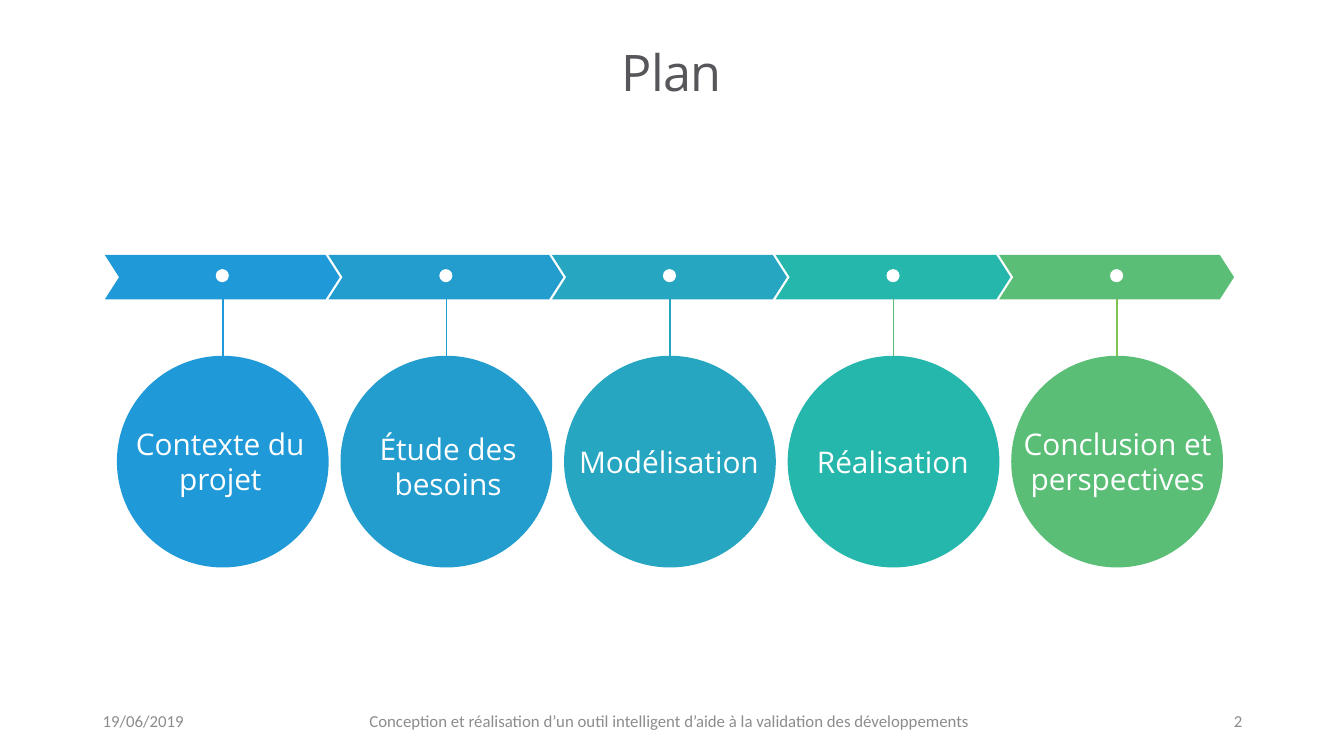
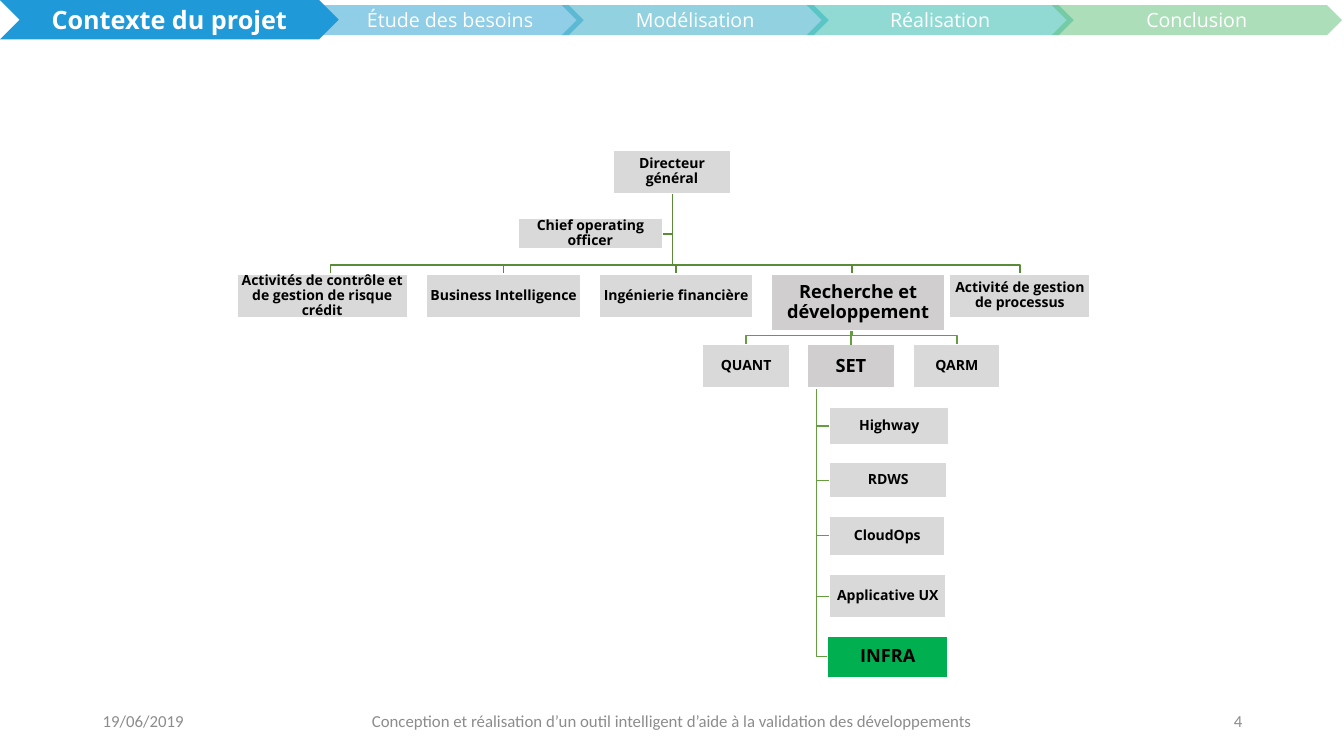
from dataclasses import dataclass
from typing import Optional

from lxml import etree
from pptx import Presentation
from pptx.dml.color import RGBColor
from pptx.enum.shapes import MSO_CONNECTOR, MSO_SHAPE
from pptx.enum.text import MSO_ANCHOR, PP_ALIGN
from pptx.oxml.ns import qn
from pptx.util import Inches, Pt

RECTANGLE, ELLIPSE, CHEVRON = MSO_SHAPE.RECTANGLE, MSO_SHAPE.OVAL, MSO_SHAPE.CHEVRON
STRAIGHT = MSO_CONNECTOR.STRAIGHT
TOP_ANCHOR, MIDDLE = MSO_ANCHOR.TOP, MSO_ANCHOR.MIDDLE
LEFT, CENTER, RIGHT = PP_ALIGN.LEFT, PP_ALIGN.CENTER, PP_ALIGN.RIGHT
TOP_SITE = 0

HEADING_FONT, FOOTER_FONT = "Open Sans", "Calibri"
WHITE, BLACK, TITLE_GREY, FOOTER_GREY = "FFFFFF", "000000", "57565A", "8C8C8C"
BOX_GREY, BOX_DARK, BOX_GREEN = "D9D9D9", "D0CECE", "00B050"
TRUNK_GREEN, BRANCH_GREEN = "5A8B39", "669D40"

DATE = "19/06/2019"
TALK = "Conception et réalisation d’un outil intelligent d’aide à la validation des développements"


@dataclass(frozen=True)
class TextStyle:
    size: float
    color: str = WHITE
    font: str = HEADING_FONT
    bold: bool = False
    align: PP_ALIGN = CENTER
    anchor: MSO_ANCHOR = MIDDLE
    line_spacing: Optional[float] = None
    inset: Optional[float] = None
    tracking: Optional[int] = None


@dataclass(frozen=True)
class Chapter:
    label: str
    color: str
    stem_color: str
    label_left: float
    label_top: float
    label_height: float
    nav_label: str


@dataclass(frozen=True)
class OrgUnit:
    name: str
    left: float
    top: float
    width: float
    height: float = 0.43
    fill: str = BOX_GREY
    size: float = 10
    drop_x: Optional[float] = None

    @property
    def center_x(self) -> float:
        return self.left + self.width / 2

    @property
    def center_y(self) -> float:
        return self.top + self.height / 2

    @property
    def bottom(self) -> float:
        return self.top + self.height


CHAPTERS = [
    Chapter("Contexte du projet", "2099D8", "2099D8", 1.10, 4.17, 0.82, "Contexte du projet"),
    Chapter("Étude des besoins", "239CCE", "239CCE", 3.36, 4.22, 0.82, "Étude des besoins"),
    Chapter("Modélisation", "27A6C2", "27A6C2", 5.55, 4.35, 0.46, "Modélisation"),
    Chapter("Réalisation", "25B7AB", "5BBE77", 7.77, 4.35, 0.46, "Réalisation"),
    Chapter("Conclusion et perspectives", "5BBE77", "7EC44E", 10, 4.17, 0.82, "Conclusion"),
]

DIRECTOR = OrgUnit("Directeur général", 6.08, 1.49, 1.17)
OFFICER = OrgUnit("Chief operating officer", 5.14, 2.17, 1.43, 0.3)
RESEARCH = OrgUnit("Recherche et développement", 7.65, 2.72, 1.72, 0.56, BOX_DARK, 13, 8.45)
DIVISIONS = [
    OrgUnit("Activités de contrôle et de gestion de risque crédit", 2.35, 2.72, 1.69, drop_x=3.28),
    OrgUnit("Business Intelligence", 4.23, 2.72, 1.53),
    OrgUnit("Ingénierie financière", 5.94, 2.72, 1.53),
    RESEARCH,
    OrgUnit("Activité de gestion de processus", 9.42, 2.72, 1.39),
]
QUANT_TEAM = OrgUnit("QUANT", 6.97, 3.42, 0.86)
SET_TEAM = OrgUnit("SET", 8.01, 3.42, 0.86, fill=BOX_DARK, size=13)
QARM_TEAM = OrgUnit("QARM", 9.06, 3.42, 0.86)
SQUADS = [
    OrgUnit("Highway", 8.23, 4.04, 1.18, 0.37),
    OrgUnit("RDWS", 8.23, 4.59, 1.16, 0.35),
    OrgUnit("CloudOps", 8.23, 5.12, 1.14, 0.39),
    OrgUnit("Applicative UX", 8.23, 5.7, 1.15),
    OrgUnit("INFRA", 8.21, 6.31, 1.19, 0.41, BOX_GREEN, 13),
]


def rgb(color: str) -> RGBColor:
    return RGBColor.from_string(color)


def apply(target, values: dict) -> None:
    for name, value in values.items():
        setattr(target, name, value)


def write(shape, text: str, style: TextStyle) -> None:
    frame = shape.text_frame
    apply(frame, {"word_wrap": True, "vertical_anchor": style.anchor})
    if style.inset is not None:
        sides = ("margin_left", "margin_top", "margin_right", "margin_bottom")
        apply(frame, dict.fromkeys(sides, Inches(style.inset)))
    paragraph = frame.paragraphs[0]
    apply(paragraph, {"alignment": style.align, "line_spacing": style.line_spacing})
    run = paragraph.add_run()
    run.text = text
    apply(run.font, {"name": style.font, "size": Pt(style.size), "bold": style.bold})
    run.font.color.rgb = rgb(style.color)
    if style.tracking is not None:
        run.font._element.set("spc", str(style.tracking))


def add_text(slide, left: float, top: float, width: float, height: float,
             text: str, style: TextStyle) -> None:
    box = slide.shapes.add_textbox(Inches(left), Inches(top), Inches(width), Inches(height))
    write(box, text, style)


def set_line(shape, color: str) -> None:
    shape.line.color.rgb = rgb(color)
    shape.line.width = Pt(1)


def add_filled(slide, kind, left: float, top: float, width: float, height: float,
               fill: str, outline: Optional[str] = None, opacity: int = 100):
    shape = slide.shapes.add_shape(kind, Inches(left), Inches(top), Inches(width), Inches(height))
    shape.shadow.inherit = False
    shape.fill.solid()
    shape.fill.fore_color.rgb = rgb(fill)
    if outline:
        set_line(shape, outline)
    else:
        shape.line.fill.background()
    if opacity < 100:
        color = shape._element.spPr.find(qn("a:solidFill"))[0]
        etree.SubElement(color, qn("a:alpha")).set("val", str(opacity * 1000))
    return shape


def add_line(slide, x1: float, y1: float, x2: float, y2: float, color: str):
    line = slide.shapes.add_connector(STRAIGHT, Inches(x1), Inches(y1), Inches(x2), Inches(y2))
    set_line(line, color)
    etree.SubElement(line._element.spPr, qn("a:effectLst"))
    return line


def add_bent_link(slide, points: list[tuple[float, float]], color: str) -> None:
    start, *corners = [(Inches(x), Inches(y)) for x, y in points]
    builder = slide.shapes.build_freeform(*start)
    builder.add_line_segments(corners, close=False)
    link = builder.convert_to_shape()
    link.shadow.inherit = False
    link.fill.background()
    set_line(link, color)


def link_below(slide, x: float, y: float, bus_y: float, unit: OrgUnit, color: str) -> None:
    """Run down to the shared level, across, and down to the top of the unit."""
    drop_x = unit.drop_x or unit.center_x
    add_bent_link(slide, [(x, y), (x, bus_y), (drop_x, bus_y), (drop_x, unit.top)], color)


def link_beside(slide, x: float, y: float, end_x: float, unit: OrgUnit, color: str) -> None:
    """Run down to the middle of the unit, then across to its side."""
    add_bent_link(slide, [(x, y), (x, unit.center_y), (end_x, unit.center_y)], color)


def add_footer(slide, number: int, talk_left: float, talk_width: float) -> None:
    parts = [
        (DATE, 0.92, 3, LEFT),
        (TALK, talk_left, talk_width, CENTER),
        (str(number), 9.42, 3, RIGHT),
    ]
    for text, left, width, align in parts:
        add_text(slide, left, 6.95, width, 0.4, text,
                 TextStyle(12, FOOTER_GREY, FOOTER_FONT, align=align))


def add_title(slide, text: str) -> None:
    add_text(slide, 1, 0.31, 11.33, 0.89, text,
             TextStyle(36, TITLE_GREY, line_spacing=0.86, inset=0, tracking=-50))


def add_navigation(slide) -> None:
    """Draw the chapter band, with the first chapter as the current one."""
    current, *following = CHAPTERS
    for index, chapter in enumerate(following):
        width = 2.88 if chapter is following[-1] else 2.65
        step = add_filled(slide, CHEVRON, 3.14 + 2.43 * index, 0.05, width, 0.3,
                          chapter.color, opacity=50)
        write(step, chapter.nav_label, TextStyle(14))
    step = add_filled(slide, CHEVRON, 0, 0, 3.36, 0.39, current.color)
    write(step, current.nav_label, TextStyle(18, bold=True))


def add_unit(slide, unit: OrgUnit):
    box = add_filled(slide, RECTANGLE, unit.left, unit.top, unit.width, unit.height,
                     unit.fill, WHITE)
    write(box, unit.name,
          TextStyle(unit.size, BLACK, bold=True, line_spacing=0.9, inset=0.01))
    return box


def build_plan(slide) -> None:
    add_title(slide, "Plan")
    first_left, last_left = 1.04, 9.91
    pitch = (last_left - first_left) / (len(CHAPTERS) - 1)
    for index, chapter in enumerate(CHAPTERS):
        left = first_left + pitch * index
        center = left + 1.17
        arrow = add_filled(slide, CHEVRON, left, 2.53, 2.33, 0.44, chapter.color)
        arrow.adjustments[0] = 0.32
        add_filled(slide, ELLIPSE, left + 1.1, 2.67, 0.13, 0.13, WHITE)
        circle = add_filled(slide, ELLIPSE, center - 1.05, 3.53, 2.1, 2.1, chapter.color)
        stem = add_line(slide, center, 3.53, center, 2.97, chapter.stem_color)
        stem.begin_connect(circle, TOP_SITE)
        add_text(slide, chapter.label_left, chapter.label_top, 2.17, chapter.label_height,
                 chapter.label, TextStyle(21.3, anchor=TOP_ANCHOR))
    add_footer(slide, 2, 3.48, 6.32)


def build_organisation(slide) -> None:
    trunk_x, branch_x, spine_x = 6.67, RESEARCH.drop_x, 8.1
    division_bus, team_bus = 2.63, 3.33

    link_beside(slide, trunk_x, DIRECTOR.bottom, OFFICER.left + OFFICER.width, OFFICER,
                TRUNK_GREEN)
    for division in DIVISIONS:
        link_below(slide, trunk_x, DIRECTOR.bottom, division_bus, division, TRUNK_GREEN)
    for team in (QUANT_TEAM, QARM_TEAM):
        link_below(slide, branch_x, 3.24, team_bus, team, BRANCH_GREEN)
    for squad in SQUADS:
        link_beside(slide, spine_x, SET_TEAM.bottom, squad.left, squad, BRANCH_GREEN)

    set_box = add_unit(slide, SET_TEAM)
    set_stem = add_line(slide, SET_TEAM.center_x, 3.24, SET_TEAM.center_x, SET_TEAM.top,
                        BRANCH_GREEN)
    set_stem.end_connect(set_box, TOP_SITE)
    for unit in (DIRECTOR, OFFICER, *DIVISIONS, QUANT_TEAM, QARM_TEAM, *SQUADS):
        add_unit(slide, unit)

    add_footer(slide, 4, 3.2, 6.93)
    add_navigation(slide)


def main() -> None:
    deck = Presentation()
    deck.slide_width, deck.slide_height = Inches(13.33), Inches(7.5)
    blank = deck.slide_layouts[6]
    for build in (build_plan, build_organisation):
        build(deck.slides.add_slide(blank))
    deck.save("out.pptx")


if __name__ == "__main__":
    main()
